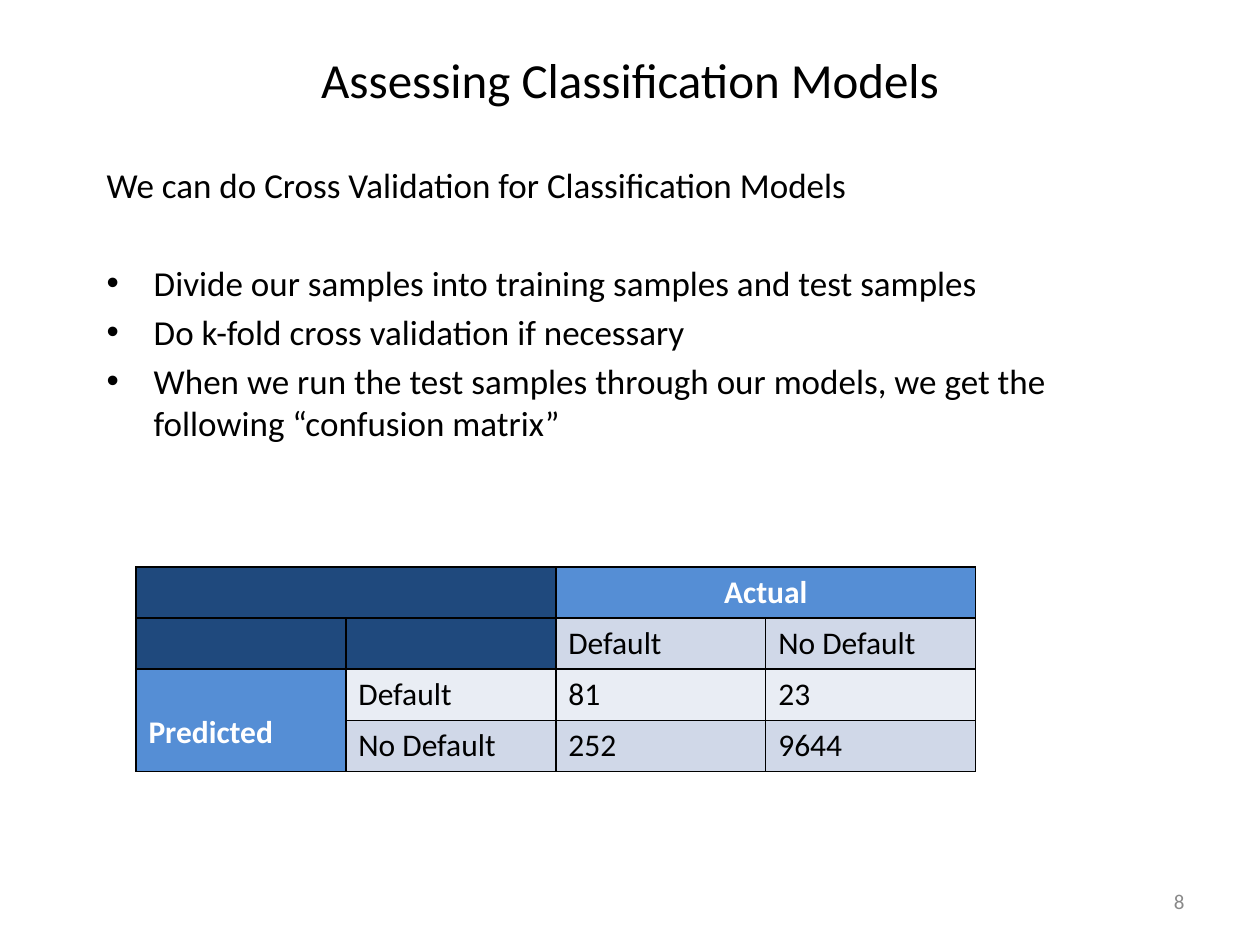
from lxml import etree
from pptx import Presentation
from pptx.dml.color import RGBColor
from pptx.enum.text import MSO_ANCHOR, PP_ALIGN
from pptx.oxml.ns import qn
from pptx.util import Cm, Pt

MIDDLE, TOP = MSO_ANCHOR.MIDDLE, MSO_ANCHOR.TOP
LEFT, CENTER, RIGHT = PP_ALIGN.LEFT, PP_ALIGN.CENTER, PP_ALIGN.RIGHT

BLACK = RGBColor(0x00, 0x00, 0x00)
WHITE = RGBColor(0xFF, 0xFF, 0xFF)
GRAY = RGBColor(0x89, 0x89, 0x89)
NAVY = RGBColor(0x1F, 0x49, 0x7D)
BLUE = RGBColor(0x55, 0x8E, 0xD5)
DARK = RGBColor(0xD0, 0xD8, 0xE8)
PALE = RGBColor(0xE9, 0xED, 0xF4)

FONT = "Calibri"
INTRO = "We can do Cross Validation for Classification Models"
POINTS = [
    "Divide our samples into training samples and test samples",
    "Do k-fold cross validation if necessary",
    "When we run the test samples through our models, we get the "
    "following “confusion matrix”",
]
MATRIX = [
    ["", "", "Actual", ""],
    ["", "", "Default", "No Default"],
    ["Predicted", "Default", "81", "23"],
    ["", "No Default", "252", "9644"],
]
FILLS = [
    [NAVY, NAVY, BLUE, BLUE],
    [NAVY, NAVY, DARK, DARK],
    [BLUE, PALE, PALE, PALE],
    [BLUE, DARK, DARK, DARK],
]


def style(para, size, color=BLACK, bold=False, align=LEFT):
    para.alignment = align
    for run in para.runs:
        font = run.font
        font.name, font.size, font.bold = FONT, Pt(size), bold
        font.color.rgb = color


def place(shape, box):
    shape.left, shape.top, shape.width, shape.height = map(Cm, box)


def add_title(slide, box):
    title = slide.shapes.title
    place(title, box)
    frame = title.text_frame
    frame.text = "Assessing Classification Models"
    frame.vertical_anchor = MIDDLE
    style(frame.paragraphs[0], 28, align=CENTER)


def add_bullet(para):
    props = para._p.get_or_add_pPr()
    props.set("marL", str(Cm(0.95)))
    props.set("indent", str(-Cm(0.95)))
    etree.SubElement(props, qn("a:buFont"), typeface="Arial")
    etree.SubElement(props, qn("a:buChar"), char="•")


def add_body(slide, box):
    frame = slide.shapes.add_textbox(*map(Cm, box)).text_frame
    frame.word_wrap = True
    frame.text = "\n".join([INTRO] + POINTS)
    gaps = [4, 32, 4, 4]
    for i, (para, gap) in enumerate(zip(frame.paragraphs, gaps)):
        para.space_before = Pt(gap)
        style(para, 20)
        if i:
            add_bullet(para)


def add_border(cell):
    """Draw a thin black line on all four sides, ahead of the cell's fill."""
    props = cell._tc.get_or_add_tcPr()
    for i, side in enumerate(("lnL", "lnR", "lnT", "lnB")):
        line = etree.Element(qn("a:" + side), w=str(Pt(1)))
        fill = etree.SubElement(line, qn("a:solidFill"))
        etree.SubElement(fill, qn("a:srgbClr"), val=str(BLACK))
        props.insert(i, line)


def add_matrix(slide, box):
    rows, cols = len(MATRIX), len(MATRIX[0])
    table = slide.shapes.add_table(rows, cols, *map(Cm, box)).table
    for r, (texts, fills) in enumerate(zip(MATRIX, FILLS)):
        for c, (text, fill) in enumerate(zip(texts, fills)):
            cell = table.cell(r, c)
            cell.fill.solid()
            cell.fill.fore_color.rgb = fill
            add_border(cell)
            if text:
                cell.text = text
                head = fill == BLUE
                style(cell.text_frame.paragraphs[0], 18,
                      WHITE if head else BLACK, head,
                      CENTER if r == 0 else LEFT)
    table.cell(0, 0).merge(table.cell(0, 1))
    table.cell(0, 2).merge(table.cell(0, 3))
    side = table.cell(2, 0)
    side.merge(table.cell(3, 0))
    side.vertical_anchor = TOP
    side.margin_top = Cm(0.89)


def add_number(slide, box):
    frame = slide.shapes.add_textbox(*map(Cm, box)).text_frame
    frame.word_wrap = True
    frame.vertical_anchor = MIDDLE
    frame.text = "8"
    style(frame.paragraphs[0], 12, GRAY, align=RIGHT)


def main():
    deck = Presentation()
    deck.slide_width, deck.slide_height = Cm(25.4), Cm(19.05)
    slide = deck.slides.add_slide(deck.slide_layouts[5])
    add_title(slide, (1.27, 0, 22.86, 3.18))
    add_body(slide, (1.9, 3.18, 21.6, 14.8))
    add_number(slide, (18.2, 17.66, 5.93, 1.01))
    add_matrix(slide, (2.74, 11.43, 16.93, 4.12))
    deck.save("out.pptx")


if __name__ == "__main__":
    main()
